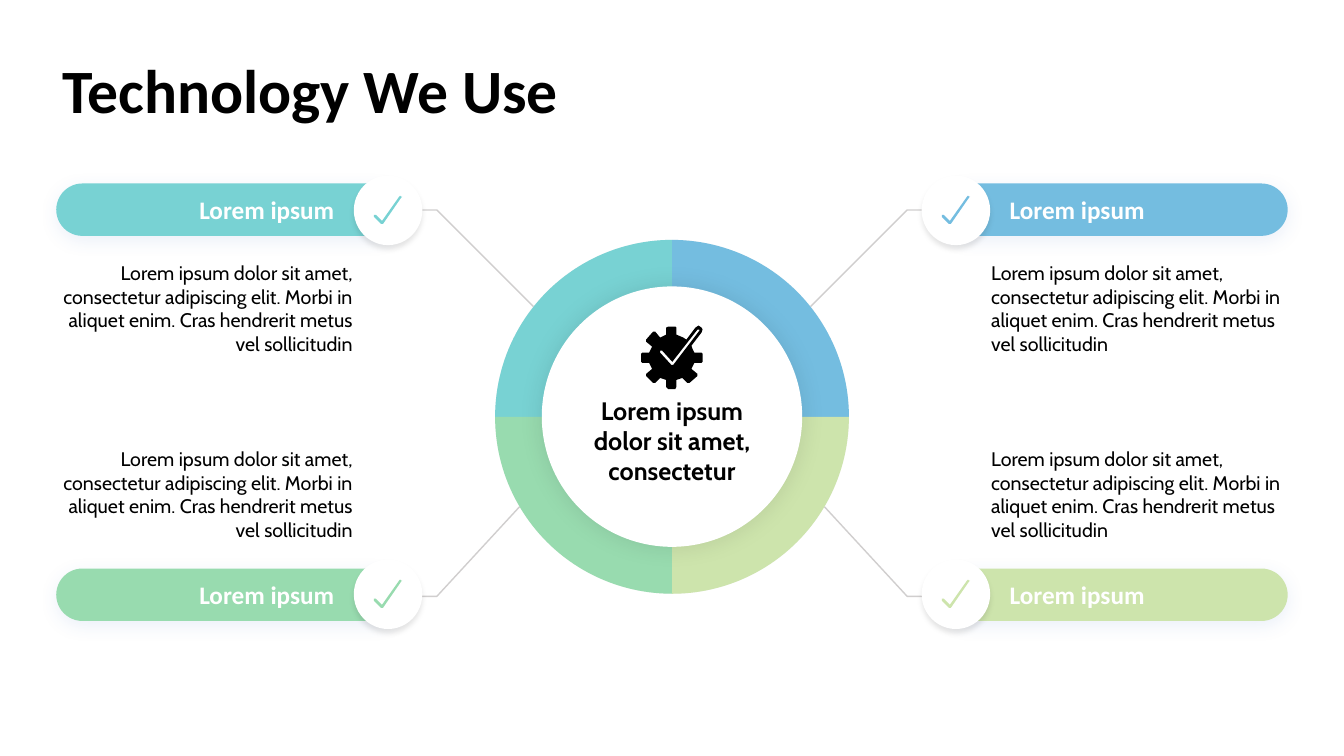
from dataclasses import dataclass
from typing import NamedTuple

from lxml import etree
from pptx import Presentation
from pptx.dml.color import RGBColor
from pptx.enum.shapes import MSO_SHAPE
from pptx.enum.text import MSO_ANCHOR, PP_ALIGN
from pptx.oxml.ns import qn
from pptx.util import Emu, Pt

LEFT, CENTER, RIGHT = PP_ALIGN.LEFT, PP_ALIGN.CENTER, PP_ALIGN.RIGHT
TOP, MIDDLE, BOTTOM = MSO_ANCHOR.TOP, MSO_ANCHOR.MIDDLE, MSO_ANCHOR.BOTTOM
ROUND_RECT, OVAL, BLOCK_ARC = MSO_SHAPE.ROUNDED_RECTANGLE, MSO_SHAPE.OVAL, MSO_SHAPE.BLOCK_ARC

COLS, ROWS = 160, 90
CELL = 76200
ICON_UNIT = 0.12

COLORS = {
    "teal": "78D2D3", "blue": "74BDE0", "green": "98DBAF", "lime": "CDE4AC",
    "black": "000000", "white": "FFFFFF", "disc": "F2F2F2",
    "leader": "D0CECE", "glow": "4472C4",
}
BODY = ("Lorem ipsum dolor sit amet, consectetur adipiscing elit. "
        "Morbi in aliquet enim. Cras hendrerit metus vel sollicitudin")

CHECK = [(27, 1), (26, 0), (25, 1), (8, 25), (2, 19), (0, 19), (0, 21),
         (7, 28), (9, 28), (27, 2), (28, 1)]
GEAR = [(60, 27), (53, 27), (51, 23), (50, 20), (60, 7), (61, 4), (60, 2), (57, 0),
        (54, 2), (45, 14), (42, 12), (35, 9), (35, 2), (34, 1), (27, 1), (25, 2),
        (25, 9), (19, 12), (14, 6), (12, 6), (5, 14), (5, 16), (11, 21), (8, 27),
        (1, 27), (0, 28), (0, 36), (1, 37), (8, 37), (11, 43), (5, 48), (5, 50),
        (12, 57), (14, 57), (19, 52), (25, 54), (25, 61), (27, 63), (34, 63), (35, 61),
        (35, 54), (41, 52), (46, 57), (48, 57), (56, 50), (56, 48), (50, 43), (53, 37),
        (60, 37), (61, 36), (61, 28)]
GEAR_CHECK = [(32, 39), (30, 39), (19, 27), (19, 25), (21, 25), (31, 36),
              (56, 4), (58, 4), (58, 5)]


class Box(NamedTuple):
    x: float
    y: float
    w: float
    h: float

    def mirrored(self):
        return self._replace(x=COLS - self.x - self.w)


class Shadow(NamedTuple):
    color: str
    blur: float
    dist: float


@dataclass(frozen=True)
class Font:
    name: str
    size: int
    color: str = "black"
    bold: bool = False


@dataclass(frozen=True)
class Quadrant:
    color: str
    right: bool
    bar_y: float
    knob_y: float
    body_y: float
    anchor: MSO_ANCHOR
    leader_y: float
    ring_y: float
    turn: int

    def place(self, box: Box) -> Box:
        return box.mirrored() if self.right else box


UPPER = (21.84, 20.9, 31.08, TOP, 24.8, 37.1)
LOWER = (67.68, 66.6, 49.2, BOTTOM, 70.7, 58.3)
QUADRANTS = [
    Quadrant("teal", False, *UPPER, 0),
    Quadrant("blue", True, *UPPER, 90),
    Quadrant("lime", True, *LOWER, 180),
    Quadrant("green", False, *LOWER, 270),
]
RING = Box(58.94, 28.56, 42.12, 42.12)
HUB = Box(64.5, 34.1, 31, 31)
TITLE_FONT = Font("Calibri", 44, bold=True)
BAR_FONT = Font("Calibri", 18, "white", True)
BODY_FONT = Font("Cabin", 14)
HUB_FONT = Font("Cabin", 18, bold=True)


def grid(value: float) -> Emu:
    return Emu(round(value * CELL))


def rgb(color: str) -> RGBColor:
    return RGBColor.from_string(COLORS[color])


def add_shadow(sp, shadow: Shadow) -> None:
    effects = sp._element.spPr.find(qn("a:effectLst"))
    outer = etree.SubElement(effects, qn("a:outerShdw"), blurRad=str(Pt(shadow.blur)),
                             dist=str(Pt(shadow.dist)), dir="5400000",
                             algn="ctr", rotWithShape="0")
    tint = etree.SubElement(outer, qn("a:srgbClr"), val=COLORS[shadow.color])
    etree.SubElement(tint, qn("a:alpha"), val="10000")


def paint(sp, color: str) -> None:
    sp.shadow.inherit = False
    sp.fill.solid()
    sp.fill.fore_color.rgb = rgb(color)
    sp.line.fill.background()


def add_block(s, kind: MSO_SHAPE, box: Box, color: str, shadow: Shadow | None = None):
    sp = s.shapes.add_shape(kind, *map(grid, box))
    paint(sp, color)
    if shadow:
        add_shadow(sp, shadow)
    return sp


def write(sp, text: str, font: Font, align: PP_ALIGN, anchor: MSO_ANCHOR,
          margins: tuple = (0, 0, 0, 0), spacing: float | None = None) -> None:
    tf = sp.text_frame
    tf.word_wrap = True
    tf.vertical_anchor = anchor
    tf.margin_left, tf.margin_top, tf.margin_right, tf.margin_bottom = map(grid, margins)
    p = tf.paragraphs[0]
    p.alignment = align
    p.line_spacing = spacing
    r = p.add_run()
    r.text = text
    r.font.name, r.font.size, r.font.bold = font.name, Pt(font.size), font.bold
    r.font.color.rgb = rgb(font.color)


def add_text(s, box: Box, *args, **kwargs) -> None:
    write(s.shapes.add_textbox(*map(grid, box)), *args, **kwargs)


def add_icon(s, x: float, y: float, color: str, *contours: list) -> None:
    fb = s.shapes.build_freeform(*contours[0][0], scale=CELL * ICON_UNIT)
    for i, contour in enumerate(contours):
        if i:
            fb.move_to(*contour[0])
        fb.add_line_segments(contour[1:], close=True)
    paint(fb.convert_to_shape(grid(x), grid(y)), color)


def add_leader(s, q: Quadrant) -> None:
    points = [(64.5, q.ring_y), (52.2, q.leader_y), (7.08, q.leader_y)]
    if q.right:
        points = [(COLS - x, y) for x, y in points]
    fb = s.shapes.build_freeform(*points[0], scale=CELL)
    fb.add_line_segments(points[1:], close=False)
    sp = fb.convert_to_shape()
    sp.shadow.inherit = False
    sp.fill.background()
    sp.line.color.rgb = rgb("leader")
    sp.line.width = Pt(1)


def add_callout(s, q: Quadrant) -> None:
    align = LEFT if q.right else RIGHT
    bar = add_block(s, ROUND_RECT, q.place(Box(6.7, q.bar_y, 41.1, 6.24)), q.color,
                    Shadow("glow", 13, 3))
    bar.adjustments[0] = 0.5
    margins = (7.08, 0.6, 1.2, 0.6) if q.right else (1.2, 0.6, 7.08, 0.6)
    write(bar, "Lorem ipsum", BAR_FONT, align, MIDDLE, margins)
    knob = q.place(Box(42.12, q.knob_y, 8.16, 8.28))
    add_block(s, OVAL, knob, "white", Shadow("black", 4, 3))
    add_icon(s, knob.x + 2.4, knob.y + 2.4, q.color, CHECK)
    add_text(s, q.place(Box(6.72, q.body_y, 35.28, 15.24)), BODY, BODY_FONT, align, q.anchor)


def main() -> None:
    prs = Presentation()
    prs.slide_width, prs.slide_height = grid(COLS), grid(ROWS)
    s = prs.slides.add_slide(prs.slide_layouts[6])
    add_text(s, Box(6.24, 4.8, 147.5, 12.72), "Technology We Use", TITLE_FONT, LEFT, MIDDLE,
             margins=(1.2, 0.6, 1.2, 0.6), spacing=0.9)
    for q in QUADRANTS:
        add_leader(s, q)
    add_block(s, OVAL, RING, "disc")
    for q in QUADRANTS:
        arc = add_block(s, BLOCK_ARC, RING, q.color)
        for i, value in enumerate((108, 162, 0.135)):
            arc.adjustments[i] = value
        arc.rotation = q.turn
    add_block(s, OVAL, HUB, "white", Shadow("black", 17, 0))
    for q in QUADRANTS:
        add_callout(s, q)
    add_text(s, Box(67.82, 47.04, 24.36, 12), "Lorem ipsum dolor sit amet, consectetur",
             HUB_FONT, CENTER, TOP)
    add_icon(s, 76.32, 38.76, "black", GEAR, GEAR_CHECK)
    prs.save("out.pptx")


if __name__ == "__main__":
    main()
